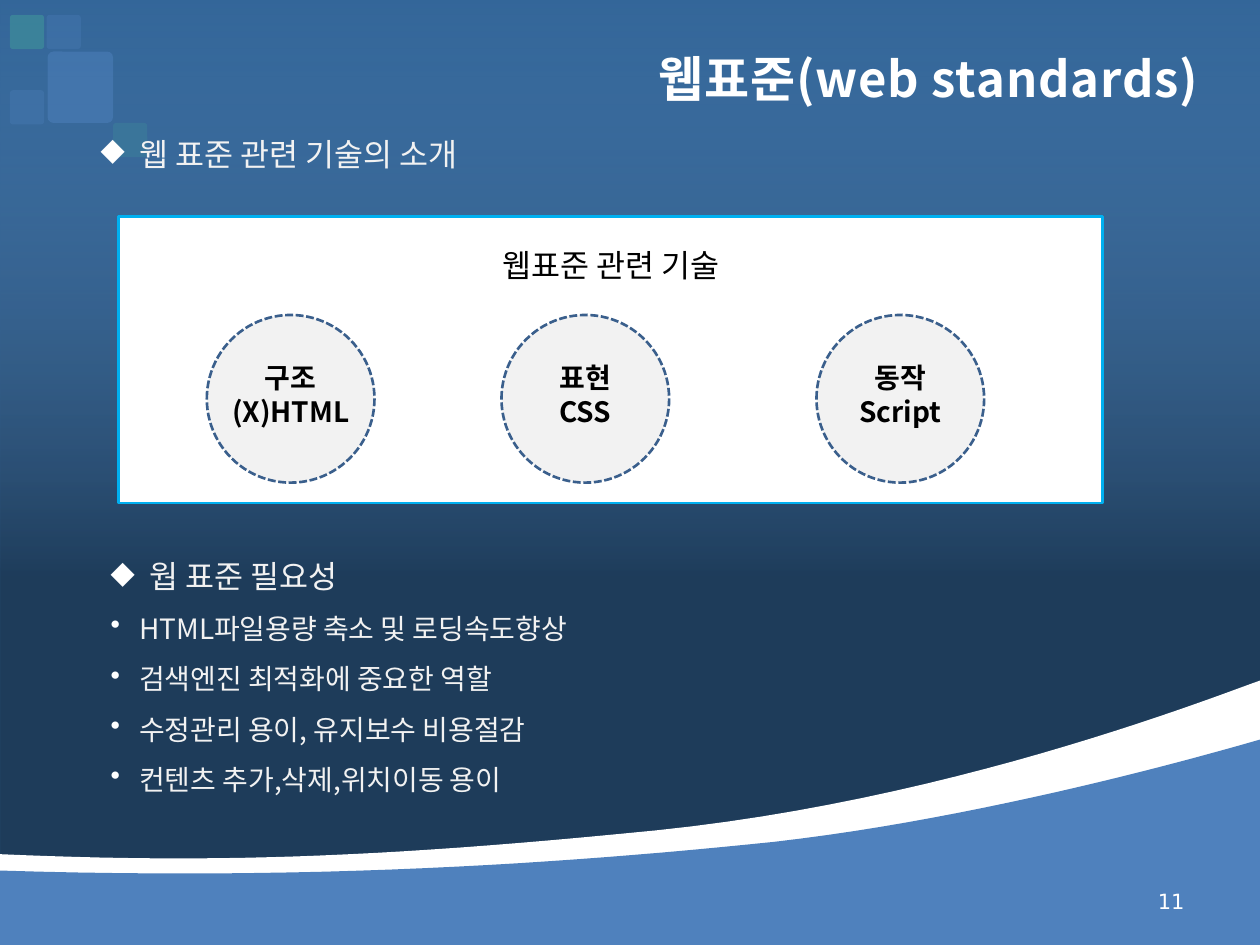
from collections import namedtuple
from dataclasses import dataclass

from lxml import etree
from pptx import Presentation
from pptx import util as u
from pptx.dml.color import RGBColor
from pptx.enum import dml, shapes, text
from pptx.oxml.ns import qn

Box = namedtuple("Box", "left top width height")


@dataclass(frozen=True)
class Theme:
    base: str = "336699"
    sky: str = "8DB3E2"
    black: str = "000000"
    white: str = "FFFFFF"
    pale: str = "F2F2F2"
    blue: str = "4F81BD"
    teal: str = "3F949A"
    card_edge: str = "00B0F0"
    circle_edge: str = "3A5F8C"
    font: str = "Noto Sans CJK KR"
    number_font: str = "DejaVu Sans"
    title: int = 28
    heading: int = 18
    body: int = 16
    number: int = 12


THEME = Theme()
PAGE = Box(0, 0, 25.4, 19.05)


def rgb(color):
    return RGBColor.from_string(color)


def set_alpha(color_element, percent):
    etree.SubElement(color_element, qn("a:alpha")).set("val", str(percent * 1000))


def add_preset(page, kind, box, fill, edge=None):
    shape = page.shapes.add_shape(kind, *map(u.Cm, box))
    shape.shadow.inherit = False
    shape.fill.solid()
    shape.fill.fore_color.rgb = rgb(fill)
    if edge:
        shape.line.color.rgb = rgb(edge)
        shape.line.width = u.Pt(1.5)
    else:
        shape.line.fill.background()
    return shape


def add_text_box(page, box, anchor=text.MSO_ANCHOR.TOP):
    frame = page.shapes.add_textbox(*map(u.Cm, box)).text_frame
    frame.word_wrap = True
    frame.vertical_anchor = anchor
    return frame


def write(para, words, size, color, bold=False, align=text.PP_ALIGN.LEFT,
          font=THEME.font):
    para.alignment = align
    para.font.size = u.Pt(size)
    para.font.bold = bold
    para.font.color.rgb = rgb(color)
    span = para.add_run()
    span.text = words
    # Latin and Korean letters share one typeface
    for target in (para.font, span.font):
        target.name = font
    etree.SubElement(span.font._element, qn("a:ea")).set("typeface", font)
    return span


def set_bullet(para, mark, indent):
    props = para._p.get_or_add_pPr()
    props.set("marL", str(u.Cm(indent)))
    props.set("indent", str(-u.Cm(indent)))
    bullet_color = etree.Element(qn("a:buClr"))
    etree.SubElement(bullet_color, qn("a:srgbClr")).set("val", THEME.white)
    bullet = etree.Element(qn("a:buChar"))
    bullet.set("char", mark)
    # Bullet settings stand before the default run properties
    place = props.find(qn("a:defRPr"))
    place.addprevious(bullet_color)
    place.addprevious(bullet)


def curve_points(start, curves, steps=24):
    points = [start]
    for one, two, end in curves:
        for step in range(1, steps + 1):
            t = step / steps
            weights = ((1 - t) ** 3, 3 * t * (1 - t) ** 2, 3 * t * t * (1 - t), t ** 3)
            points.append(tuple(
                sum(w * p[axis] for w, p in zip(weights, (start, one, two, end)))
                for axis in (0, 1)))
        start = end
    return points


def draw_backdrop(page, box):
    page.background.fill.solid()
    page.background.fill.fore_color.rgb = rgb(THEME.base)
    shade = add_preset(page, shapes.MSO_SHAPE.RECTANGLE, box, THEME.base)
    shade.fill.gradient()
    shade.fill.gradient_angle = 270
    looks = ((0, THEME.sky, 0), (0.61, THEME.black, 40))
    for stop, (position, color, alpha) in zip(shade.fill.gradient_stops, looks):
        stop.position = position
        stop.color.rgb = rgb(color)
        set_alpha(stop._gs.find(qn("a:srgbClr")), alpha)


def draw_waves(page, box):
    waves = (
        (THEME.white, (0, 3.5),
         [((4.09, 3.68), (7.44, 3.6), (13.23, 3.02)),
          ((19.02, 2.43), (24.08, 0.48), (25.4, 0))]),
        (THEME.blue, (0, 3.83),
         [((6.25, 4.03), (11.3, 3.7), (15.62, 3.25)),
          ((19.91, 2.76), (24.36, 1.49), (25.4, 1.19))]),
    )
    for color, start, curves in waves:
        outline = curve_points(start, curves) + [(box.width, box.height), (0, box.height)]
        points = [(u.Cm(box.left + x), u.Cm(box.top + y)) for x, y in outline]
        builder = page.shapes.build_freeform(*points[0], scale=1.0)
        builder.add_line_segments(points[1:], close=True)
        wave = builder.convert_to_shape()
        wave.shadow.inherit = False
        wave.fill.solid()
        wave.fill.fore_color.rgb = rgb(color)
        wave.line.fill.background()


def draw_tiles(page, box):
    small, large = (0.69, 0.69), (1.32, 1.44)
    tiles = (
        (0.74, 0, small, THEME.blue, 30),
        (0, 1.52, small, THEME.blue, 30),
        (0, 0, small, THEME.teal, 60),
        (2.08, 2.18, small, THEME.teal, 30),
        (0.76, 0.74, large, THEME.blue, 50),
    )
    for x, y, size, color, alpha in tiles:
        tile = add_preset(page, shapes.MSO_SHAPE.ROUNDED_RECTANGLE,
                          Box(box.left + x, box.top + y, *size), color)
        tile.adjustments[0] = 0.09
        set_alpha(tile._element.spPr.find(".//" + qn("a:srgbClr")), alpha)


def draw_title(page, box):
    frame = add_text_box(page, box, text.MSO_ANCHOR.MIDDLE)
    span = write(frame.paragraphs[0], "웹표준(web standards)", THEME.title, THEME.white,
                 bold=True, align=text.PP_ALIGN.RIGHT)
    span.font._element.set("spc", "50")


def draw_list(page, box, heading, items=(), spacing=1.0):
    frame = add_text_box(page, box)
    rows = [(heading, THEME.heading, "◆", 0.79)]
    rows += [(item, THEME.body, "•", 0.58) for item in items]
    for index, (words, size, mark, indent) in enumerate(rows):
        para = frame.add_paragraph() if index else frame.paragraphs[0]
        write(para, words, size, THEME.pale)
        para.line_spacing = spacing
        set_bullet(para, mark, indent)


def draw_card(page, box):
    card = add_preset(page, shapes.MSO_SHAPE.RECTANGLE, box, THEME.white, THEME.card_edge)
    frame = card.text_frame
    frame.vertical_anchor = text.MSO_ANCHOR.TOP
    frame.margin_top = u.Cm(0.58)
    write(frame.paragraphs[0], "웹표준 관련 기술", THEME.heading, THEME.black,
          align=text.PP_ALIGN.CENTER)

    # Three technologies
    circles = ((1.78, "구조", "(X)HTML"), (7.72, "표현", "CSS"), (14.07, "동작", "Script"))
    for x, role, technology in circles:
        circle = add_preset(page, shapes.MSO_SHAPE.OVAL,
                            Box(box.left + x, box.top + 1.98, 3.38, 3.38),
                            THEME.pale, THEME.circle_edge)
        circle.line.dash_style = dml.MSO_LINE.SQUARE_DOT
        frame = circle.text_frame
        frame.word_wrap = False
        frame.vertical_anchor = text.MSO_ANCHOR.MIDDLE
        frame.margin_left = frame.margin_right = frame.margin_top = 0
        frame.margin_bottom = u.Cm(0.18)
        for para, words in ((frame.paragraphs[0], role), (frame.add_paragraph(), technology)):
            write(para, words, THEME.body, THEME.black, bold=True,
                  align=text.PP_ALIGN.CENTER)


def draw_page_number(page, box):
    frame = add_text_box(page, box, text.MSO_ANCHOR.MIDDLE)
    write(frame.paragraphs[0], "11", THEME.number, THEME.white,
          align=text.PP_ALIGN.RIGHT, font=THEME.number_font)


def main():
    deck = Presentation()
    deck.slide_width, deck.slide_height = u.Cm(PAGE.width), u.Cm(PAGE.height)
    page = deck.slides.add_slide(deck.slide_layouts[6])
    draw_backdrop(page, PAGE)
    draw_waves(page, Box(0, 13.72, 25.4, 5.33))
    draw_tiles(page, Box(0.2, 0.3, 2.77, 2.87))
    draw_title(page, Box(1.27, 0.76, 23.14, 1.63))
    draw_list(page, Box(1.78, 2.59, 22.02, 1.2), "웹 표준 관련 기술의 소개")
    draw_list(page, Box(1.98, 10.72, 12.7, 5.51), "웝 표준 필요성",
              ("HTML파일용량 축소 및 로딩속도향상", "검색엔진 최적화에 중요한 역할",
               "수정관리 용이, 유지보수 비용절감", "컨텐츠 추가,삭제,위치이동 용이"), 1.5)
    draw_card(page, Box(2.39, 4.37, 19.84, 5.77))
    draw_page_number(page, Box(18.21, 17.65, 5.92, 1.02))
    deck.save("out.pptx")


if __name__ == "__main__":
    main()
